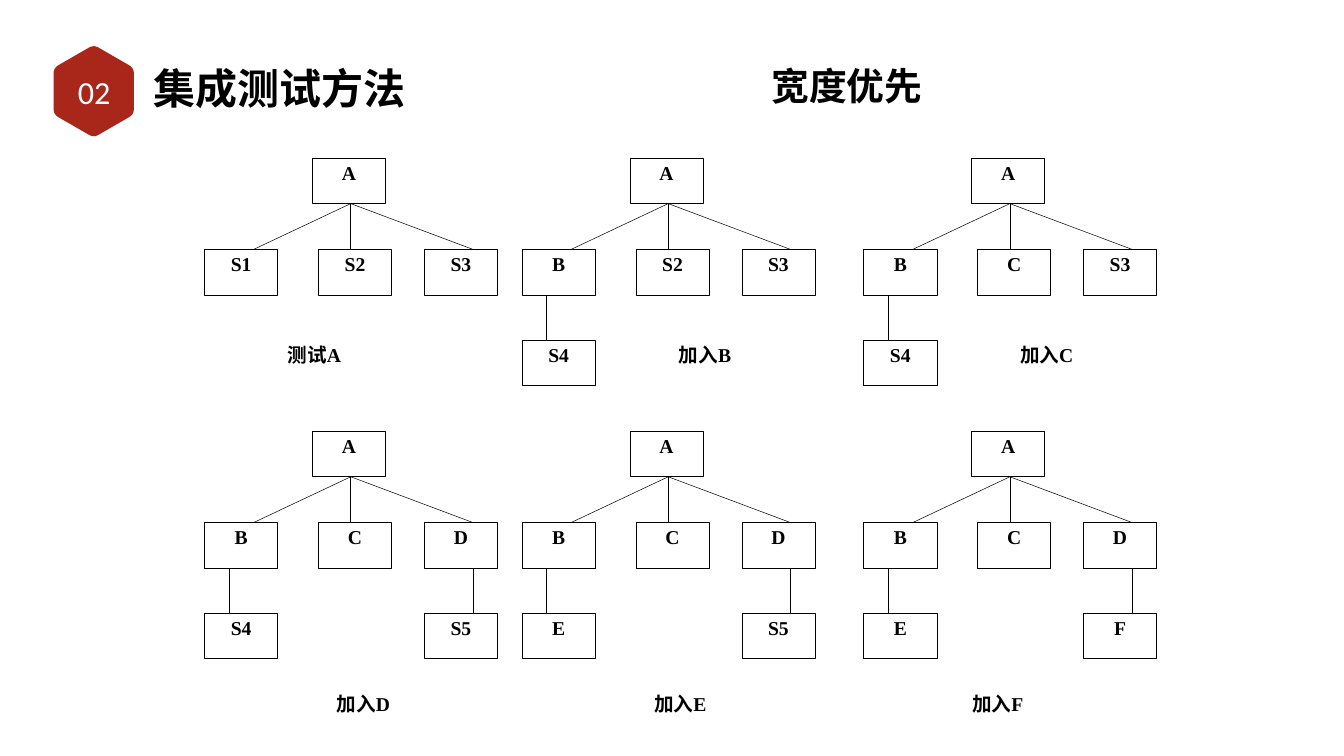
"""Build a slide of six call trees showing breadth-first integration testing."""
from dataclasses import dataclass
from math import cos, radians, sin

from lxml.etree import SubElement
from pptx import Presentation
from pptx.dml.color import RGBColor
from pptx.enum.shapes import MSO_CONNECTOR, MSO_SHAPE
from pptx.enum.text import MSO_ANCHOR, PP_ALIGN
from pptx.oxml.ns import qn
from pptx.util import Inches, Pt


@dataclass(frozen=True)
class Theme:
    red: RGBColor = RGBColor(0xA8, 0x27, 0x1A)
    black: RGBColor = RGBColor(0, 0, 0)
    white: RGBColor = RGBColor(255, 255, 255)
    cjk: str = "Noto Sans CJK SC"
    sans: str = "Calibri"
    serif: str = "Times New Roman"
    title: int = 60
    subtitle: int = 54
    number: int = 46
    label: int = 28
    line: float = 0.75


theme = Theme()


def write(shape, text, size, font, color=theme.black, bold=True, align=PP_ALIGN.CENTER,
          anchor=MSO_ANCHOR.TOP, inset=None, wrap=True):
    frame = shape.text_frame
    frame.text = text
    frame.word_wrap = wrap
    frame.vertical_anchor = anchor
    if inset is not None:
        frame.margin_left = frame.margin_right = Inches(inset)
        frame.margin_top = frame.margin_bottom = Inches(inset)
    paragraph = frame.paragraphs[0]
    paragraph.alignment = align
    run = paragraph.runs[0]
    run.font.size, run.font.name, run.font.bold = Pt(size), font, bold
    run.font.color.rgb = color
    SubElement(run.font._element, qn("a:ea"), typeface=theme.cjk)


def add_box(shapes, x, y, width, text, outlined=True):
    box = shapes.add_shape(MSO_SHAPE.RECTANGLE, Inches(x), Inches(y), Inches(width), Inches(BOX_HEIGHT))
    box.shadow.inherit = False
    box.fill.solid()
    box.fill.fore_color.rgb = theme.white
    if outlined:
        box.line.color.rgb = theme.black
        box.line.width = Pt(theme.line)
    else:
        box.line.fill.background()
    write(box, text, theme.label, theme.serif)


prs = Presentation()
prs.slide_width, prs.slide_height = Inches(26.67), Inches(15)
slide = prs.slides.add_slide(prs.slide_layouts[6])

CENTER_X, CENTER_Y, RADIUS, CORNER_CUT, CURVE_STEPS = 1.86, 1.81, 0.92, 0.11, 8
corners = [(CENTER_X + RADIUS * cos(radians(a)), CENTER_Y + RADIUS * sin(radians(a)))
           for a in range(-90, 270, 60)]
outline = []
for i, corner in enumerate(corners):
    start, end = [
        tuple(c + (n - c) * CORNER_CUT / RADIUS for c, n in zip(corner, neighbour))
        for neighbour in (corners[i - 1], corners[(i + 1) % 6])
    ]
    for step in range(CURVE_STEPS + 1):
        t = step / CURVE_STEPS
        outline.append(tuple(
            Inches((1 - t) ** 2 * s + 2 * t * (1 - t) * c + t ** 2 * e)
            for s, c, e in zip(start, corner, end)
        ))
builder = slide.shapes.build_freeform(*outline[0])
builder.add_line_segments(outline[1:], close=True)
badge = builder.convert_to_shape()
badge.shadow.inherit = False
badge.fill.solid()
badge.fill.fore_color.rgb = theme.red
badge.line.fill.background()

title = slide.shapes.add_textbox(Inches(2.99), Inches(1.18), Inches(6.02), Inches(1.14))
write(title, "集成测试方法", theme.title, theme.cjk, align=PP_ALIGN.LEFT, anchor=MSO_ANCHOR.MIDDLE, inset=0.06)
number = slide.shapes.add_textbox(Inches(1), Inches(1.29), Inches(1.74), Inches(1.05))
write(number, "02", theme.number, theme.sans, theme.white, bold=False, anchor=MSO_ANCHOR.MIDDLE, inset=0.05)
subtitle = slide.shapes.add_textbox(Inches(15.19), Inches(1.2), Inches(3.23), Inches(1.01))
write(subtitle, "宽度优先", theme.subtitle, theme.cjk, wrap=False)

BOX_WIDTH, BOX_HEIGHT, CAPTION_WIDTH = 1.45, 0.9, 2.42
TREE_LEFTS, TREE_TOPS = (4.06, 10.36, 17.14), (3.14, 8.56)
CHILD_LEVEL, LEAF_LEVEL = 1.81, 3.61
ROOT_X, CHILD_XS = 2.14, (0, 2.26, 4.36)
ROOT_JOINT, CHILD_JOINTS, LEAF_JOINTS = 2.9, (0.97, 2.9, 5.33), (0.48, None, 5.33)
CAPTION_TOPS = (6.75, 13.68)

stages = [
    [("S1 S2 S3", {}, "测试A", 5.03),
     ("B S2 S3", {0: "S4"}, "加入B", 12.78),
     ("B C S3", {0: "S4"}, "加入C", 19.56)],
    [("B C D", {0: "S4", 2: "S5"}, "加入D", 6),
     ("B C D", {0: "E", 2: "S5"}, "加入E", 12.29),
     ("B C D", {0: "E", 2: "F"}, "加入F", 18.59)],
]

for top, caption_top, row in zip(TREE_TOPS, CAPTION_TOPS, stages):
    child_top, leaf_top = top + CHILD_LEVEL, top + LEAF_LEVEL
    for left, (children, leaves, caption, caption_left) in zip(TREE_LEFTS, row):
        tree = slide.shapes.add_group_shape().shapes
        add_box(tree, left + ROOT_X, top, BOX_WIDTH, "A")
        branches = []
        for i, child in enumerate(children.split()):
            add_box(tree, left + CHILD_XS[i], child_top, BOX_WIDTH, child)
            branches.append((CHILD_JOINTS[i], child_top, ROOT_JOINT, top + BOX_HEIGHT))
        for i, leaf in leaves.items():
            add_box(tree, left + CHILD_XS[i], leaf_top, BOX_WIDTH, leaf)
            branches.append((LEAF_JOINTS[i], child_top + BOX_HEIGHT, LEAF_JOINTS[i], leaf_top))
        for x1, y1, x2, y2 in branches:
            branch = tree.add_connector(MSO_CONNECTOR.STRAIGHT, Inches(left + x1), Inches(y1),
                                        Inches(left + x2), Inches(y2))
            branch.line.color.rgb = theme.black
            branch.line.width = Pt(theme.line)
            SubElement(branch._element.spPr, qn("a:effectLst"))
        add_box(tree, caption_left, caption_top, CAPTION_WIDTH, caption, outlined=False)

prs.save("out.pptx")
